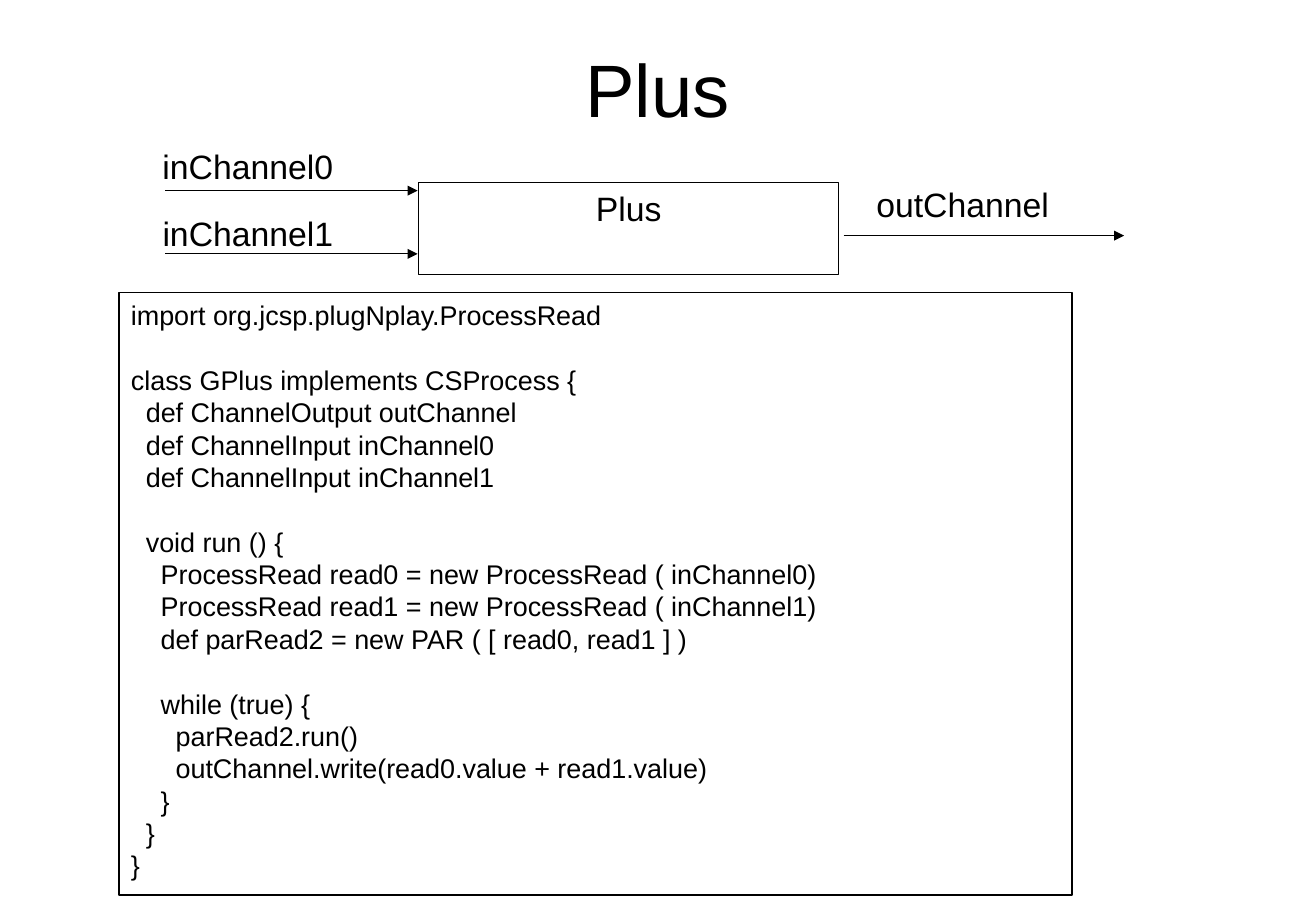
from lxml.etree import SubElement
from pptx import Presentation
from pptx.dml.color import RGBColor
from pptx.enum.shapes import MSO_CONNECTOR, MSO_SHAPE
from pptx.enum.text import MSO_ANCHOR, PP_ALIGN
from pptx.oxml.ns import qn
from pptx.util import Inches, Pt

BLACK = RGBColor(0x00, 0x00, 0x00)
WHITE = RGBColor(0xFF, 0xFF, 0xFF)

CODE = """import org.jcsp.plugNplay.ProcessRead

class GPlus implements CSProcess {
  def ChannelOutput outChannel
  def ChannelInput inChannel0
  def ChannelInput inChannel1

  void run () {
    ProcessRead read0 = new ProcessRead ( inChannel0)
    ProcessRead read1 = new ProcessRead ( inChannel1)
    def parRead2 = new PAR ( [ read0, read1 ] )

    while (true) {
      parRead2.run()
      outChannel.write(read0.value + read1.value)
    }
  }
}"""


def write(shape, text, size=20, align=PP_ALIGN.LEFT, anchor=MSO_ANCHOR.TOP):
    frame = shape.text_frame
    frame.word_wrap = True
    frame.vertical_anchor = anchor
    for i, line in enumerate(text.split("\n")):
        para = frame.add_paragraph() if i else frame.paragraphs[0]
        para.alignment = align
        run = para.add_run()
        run.text = line
        run.font.name = "Arial"
        run.font.size = Pt(size)
        run.font.color.rgb = BLACK


def add_box(left, top, width, height, border=False):
    box = slide.shapes.add_shape(
        MSO_SHAPE.RECTANGLE, Inches(left), Inches(top), Inches(width), Inches(height))
    box.shadow.inherit = False
    box.fill.solid()
    box.fill.fore_color.rgb = WHITE
    if border:
        box.line.color.rgb = BLACK
        box.line.width = Pt(0.75)
    else:
        box.line.fill.background()
    return box


deck = Presentation()
deck.slide_width, deck.slide_height = Inches(10.84), Inches(7.5)
slide = deck.slides.add_slide(deck.slide_layouts[5])

title = slide.shapes.title
title.left, title.top = Inches(0.54), Inches(0.3)
title.width, title.height = Inches(9.75), Inches(0.85)
write(title, "Plus", size=44, align=PP_ALIGN.CENTER, anchor=MSO_ANCHOR.MIDDLE)

write(add_box(0.98, 2.41, 7.85, 4.96, border=True), CODE, size=16)
write(add_box(3.45, 1.5, 3.46, 0.76, border=True), "Plus", align=PP_ALIGN.CENTER)

for name, left, top, width, height in [
    ("inChannel0", 1.24, 1.15, 1.87, 0.6),
    ("inChannel1", 1.24, 1.7, 2.02, 0.46),
    ("outChannel", 7.12, 1.46, 1.8, 0.6),
]:
    write(add_box(left, top, width, height), name)

for start, end, y in [(1.36, 3.44, 1.57), (1.36, 3.44, 2.09), (6.95, 9.26, 1.94)]:
    arrow = slide.shapes.add_connector(
        MSO_CONNECTOR.STRAIGHT, Inches(start), Inches(y), Inches(end), Inches(y))
    arrow.line.color.rgb = BLACK
    arrow.line.width = Pt(0.75)
    SubElement(arrow.line._get_or_add_ln(), qn("a:tailEnd"), type="triangle")
    SubElement(arrow._element.spPr, qn("a:effectLst"))

deck.save("out.pptx")
